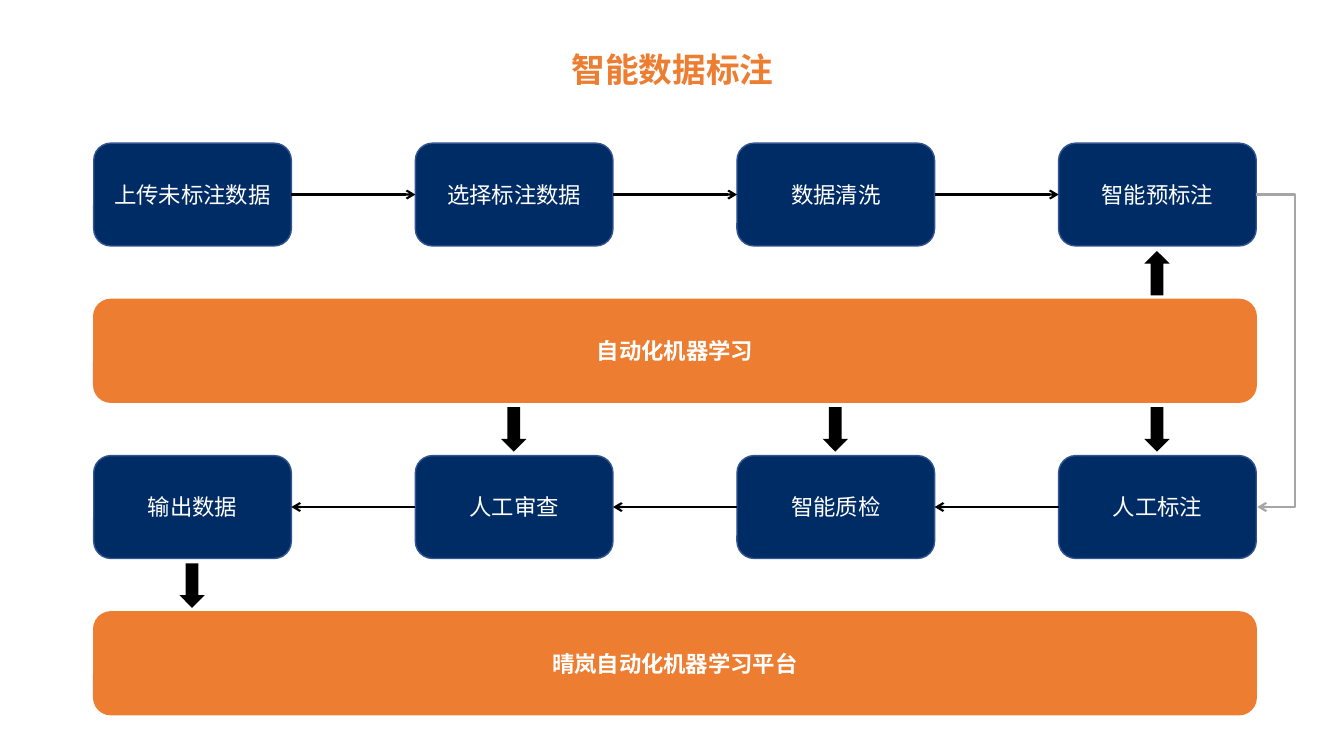
from lxml import etree
from pptx import Presentation
from pptx import util as u
from pptx.dml.color import RGBColor
from pptx.enum import shapes, text
from pptx.oxml import ns

PX = 9144
FONT = "Noto Sans CJK SC"
NAVY, EDGE, ORANGE = "002C65", "325491", "ED7D31"
BLACK, GREY, WHITE = "000000", "A6A6A6", "FFFFFF"
KIND = shapes.MSO_SHAPE
LINK = shapes.MSO_CONNECTOR

LEFT, TOP, WIDE, HIGH = 93, 142, 196, 102
STEP, DROP = 319, 155
SPAN = 3 * STEP + WIDE
GAP = DROP - HIGH


def emu(*vals):
    return [u.Emu(v * PX) for v in vals]


def tint(code):
    return RGBColor.from_string(code)


def add(node, tag, **attrs):
    return etree.SubElement(node, ns.qn(tag), **attrs)


def write(shape, words, size, color, bold):
    frame = shape.text_frame
    frame.word_wrap = True
    frame.vertical_anchor = text.MSO_ANCHOR.MIDDLE
    para = frame.paragraphs[0]
    para.text = words
    para.alignment = text.PP_ALIGN.CENTER
    font = para.font
    font.size, font.bold, font.name = u.Pt(size), bold, FONT
    font.color.rgb = tint(color)
    add(para._p.pPr.find(ns.qn("a:defRPr")), "a:ea", typeface=FONT)


def draw(slide, kind, box, fill, edge=None):
    shape = slide.shapes.add_shape(kind, *emu(*box))
    shape.shadow.inherit = False
    shape.fill.solid()
    shape.fill.fore_color.rgb = tint(fill)
    if edge:
        shape.line.color.rgb = tint(edge)
        shape.line.width = u.Pt(1)
    else:
        shape.line.fill.background()
    return shape


def link(slide, kind, ends, color):
    line = slide.shapes.add_connector(kind, *emu(*ends))
    line.line.color.rgb = tint(color)
    line.line.width = u.Pt(1.5)
    add(line.line._get_or_add_ln(), "a:tailEnd", type="arrow")
    add(line._element.spPr, "a:effectLst")
    return line


def title(slide, box, words):
    shape = slide.shapes.add_textbox(*emu(*box))
    write(shape, words, 24, ORANGE, True)
    shape.text_frame.auto_size = text.MSO_AUTO_SIZE.SHAPE_TO_FIT_TEXT


def band(slide, box, words):
    shape = draw(slide, KIND.ROUNDED_RECTANGLE, box, ORANGE, ORANGE)
    write(shape, words, 16, WHITE, True)


def row(slide, left, top, names, back=False):
    mid = top + HIGH // 2
    for i, name in enumerate(names):
        x = left + i * STEP
        box = x, top, WIDE, HIGH
        shape = draw(slide, KIND.ROUNDED_RECTANGLE, box, NAVY, EDGE)
        write(shape, name, 16, WHITE, False)
        if i:
            start, end = x - STEP + WIDE, x
            if back:
                start, end = end, start
            link(slide, LINK.STRAIGHT, (start, mid, end, mid), BLACK)


def arrow(slide, col, top, kind=KIND.DOWN_ARROW):
    wide, high = 25, 44
    x = LEFT + col * STEP + (WIDE - wide) // 2
    y = top + (GAP - high + 1) // 2
    draw(slide, kind, (x, y, wide, high), BLACK)


def loop(slide, x, top, end, reach):
    line = link(slide, LINK.ELBOW, (x, top, x + 1, end), GREY)
    guides = line._element.spPr.find(ns.qn("a:prstGeom")).find(ns.qn("a:avLst"))
    add(guides, "a:gd", name="adj1", fmla=f"val {reach * 100000}")


def main():
    deck = Presentation()
    deck.slide_width, deck.slide_height = u.Inches(13.33), u.Inches(7.5)
    slide = deck.slides.add_slide(deck.slide_layouts[6])
    tops = [TOP + i * DROP for i in range(4)]
    lows = [top + HIGH for top in tops]

    title(slide, (136, 44, 1062, 50), "智能数据标注")
    row(slide, LEFT, tops[0],
        ["上传未标注数据", "选择标注数据", "数据清洗", "智能预标注"])
    band(slide, (LEFT, tops[1], SPAN, HIGH), "自动化机器学习")
    row(slide, LEFT, tops[2],
        ["输出数据", "人工审查", "智能质检", "人工标注"], back=True)
    band(slide, (LEFT, tops[3], SPAN, HIGH), "晴岚自动化机器学习平台")

    half = HIGH // 2
    loop(slide, LEFT + SPAN, tops[0] + half, tops[2] + half, 39)
    arrow(slide, 3, lows[0], KIND.UP_ARROW)
    for col in (1, 2, 3):
        arrow(slide, col, lows[1])
    arrow(slide, 0, lows[2])
    deck.save("out.pptx")


if __name__ == "__main__":
    main()
